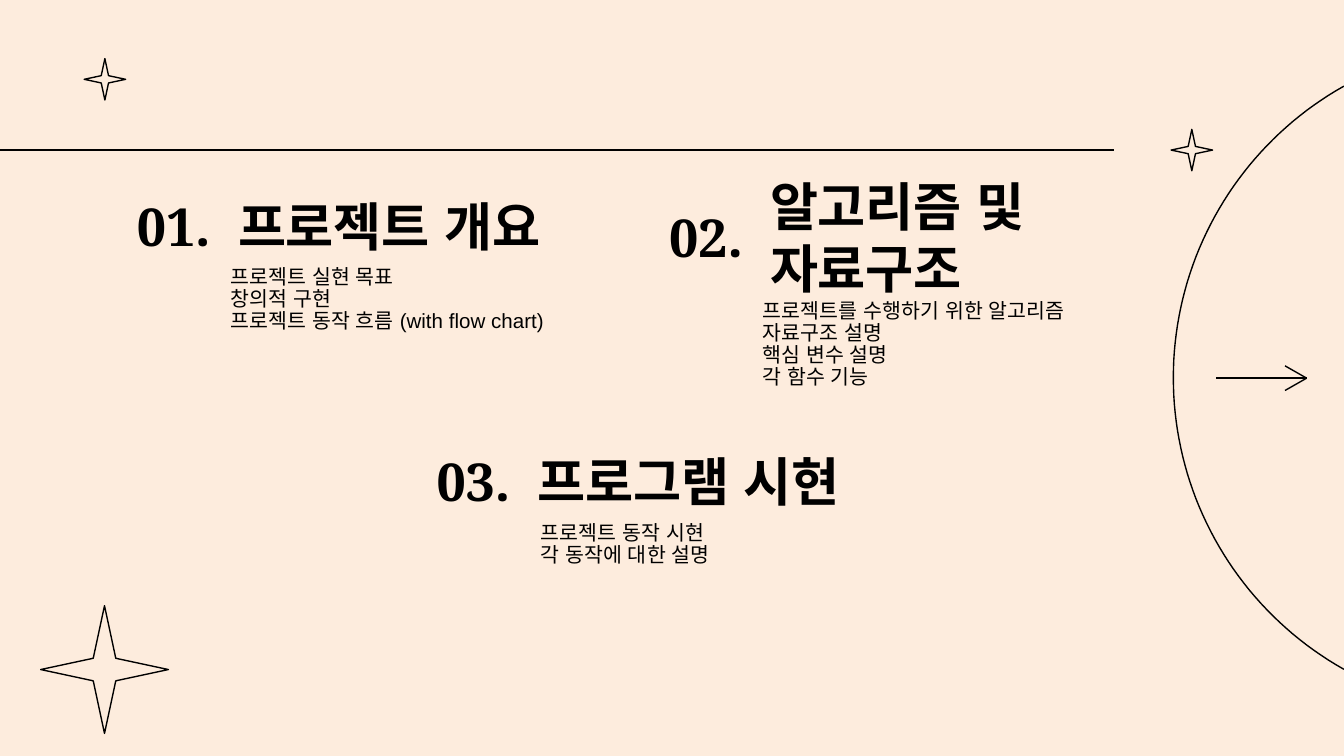
import math
from pptx import Presentation
from pptx.dml.color import RGBColor
from pptx.enum.shapes import MSO_CONNECTOR, MSO_SHAPE
from pptx.enum.text import MSO_ANCHOR, MSO_AUTO_SIZE, PP_ALIGN
from pptx.oxml.ns import qn
from pptx.util import Pt

LINE = MSO_CONNECTOR.STRAIGHT
STAR = MSO_SHAPE.STAR_4_POINT
MIDDLE = MSO_ANCHOR.MIDDLE
FIXED = MSO_AUTO_SIZE.NONE
LEFT, RIGHT = PP_ALIGN.LEFT, PP_ALIGN.RIGHT
INK, PAPER = "000000", "FDECDD"
HIGH = 41.8  # height of every text box


def color(fmt, code):
    fmt.rgb = RGBColor.from_string(code)


def write(box, left, top, width, lines, size, font="Arial", bold=False,
          align=LEFT, space=1.0):
    box.left, box.top, box.width, box.height = map(Pt, (left, top, width, HIGH))
    frame = box.text_frame
    frame.word_wrap = True
    frame.auto_size = FIXED
    frame.vertical_anchor = MIDDLE
    frame.margin_left = frame.margin_right = Pt(7.2)
    frame.margin_top = frame.margin_bottom = Pt(7.2)
    frame.text = "\n".join(lines)
    for para in frame.paragraphs:
        para.alignment, para.line_spacing = align, space
        para.font.name, para.font.size, para.font.bold = font, Pt(size), bold
        color(para.font.color, INK)
        # Korean text and its spaces take the same font
        props = para._p.pPr.find(qn("a:defRPr"))
        props.append(props.makeelement(qn("a:ea"), {"typeface": font}))


deck = Presentation()
deck.slide_width, deck.slide_height = Pt(720), Pt(405)

# Drop template placeholders that reach below this slide size
for sheet in [*deck.slide_layouts, deck.slide_master]:
    for holder in list(sheet.placeholders):
        if holder.top + holder.height > deck.slide_height:
            holder._element.getparent().remove(holder._element)

slide = deck.slides.add_slide(deck.slide_layouts[5])
shapes = slide.shapes
slide.background.fill.solid()
color(slide.background.fill.fore_color, PAPER)

# Large circle cut off by the right edge
radius, mid_x, mid_y = 179.2, 807.8, 202.4
reach = math.acos((mid_x - 720) / radius)
steps, fine = 80, 100  # pen units to the point
points = []
for i in range(steps + 1):
    angle = reach * (2 * i / steps - 1)
    points.append((fine * (mid_x - radius * math.cos(angle)),
                   fine * (mid_y + radius * math.sin(angle))))
pen = shapes.build_freeform(*points[0], scale=Pt(1) / fine)
pen.add_line_segments(points[1:], close=False)
outlines = [pen.convert_to_shape()]

# Four-pointed stars: left, top, size
for left, top, size in [(21.8, 324.5, 68.4), (45.1, 31.4, 22.2), (627.4, 69.3, 22.2)]:
    star = shapes.add_shape(STAR, Pt(left), Pt(top), Pt(size), Pt(size))
    star.adjustments[0] = 0.125
    outlines.append(star)

for shape in outlines:
    shape.shadow.inherit = False
    shape.fill.background()
    color(shape.line.color, INK)
    shape.line.width = Pt(0.75)

# Rule under the top margin, then the shaft and two barbs of the arrow
tip = (700, 202.6)
for start, end in [((0, 80.4), (597, 80.4)), ((651.5, 202.6), tip),
                   ((688.4, 196), tip), ((688.4, 209.2), tip)]:
    line = shapes.add_connector(LINE, *map(Pt, start + end))
    color(line.line.color, INK)
    line.line.width = Pt(0.75)
    props = line._element.spPr
    props.append(props.makeelement(qn("a:effectLst"), {}))

# Sections: heading left and top, note left and top, heading, note lines
sections = [
    (120.3, 100.2, 116.3, 139.8, "프로젝트 개요",
     ["프로젝트 실현 목표", "창의적 구현", "프로젝트 동작 흐름 (with flow chart)"]),
    (405.5, 105.8, 401.4, 163.8, "알고리즘 및 자료구조",
     ["프로젝트를 수행하기 위한 알고리즘", "자료구조 설명", "핵심 변수 설명", "각 함수 기능"]),
    (280.9, 236.5, 282.5, 270.9, "프로그램 시현",
     ["프로젝트 동작 시현", "각 동작에 대한 설명"]),
]
for i, (left, top, note_x, note_y, head, notes) in enumerate(sections, 1):
    num, note = [shapes.add_textbox(0, 0, 0, 0) for _ in range(2)]
    title = shapes.title if i == 1 else shapes.add_textbox(0, 0, 0, 0)
    write(num, left - 64, top, 63.6, [f"{i:02}."], 28, "Noto Serif", True, RIGHT)
    write(title, left, top, 208, [head], 28, bold=True)
    write(note, note_x, note_y, 208, notes, 11, space=0.9)

deck.save("out.pptx")
